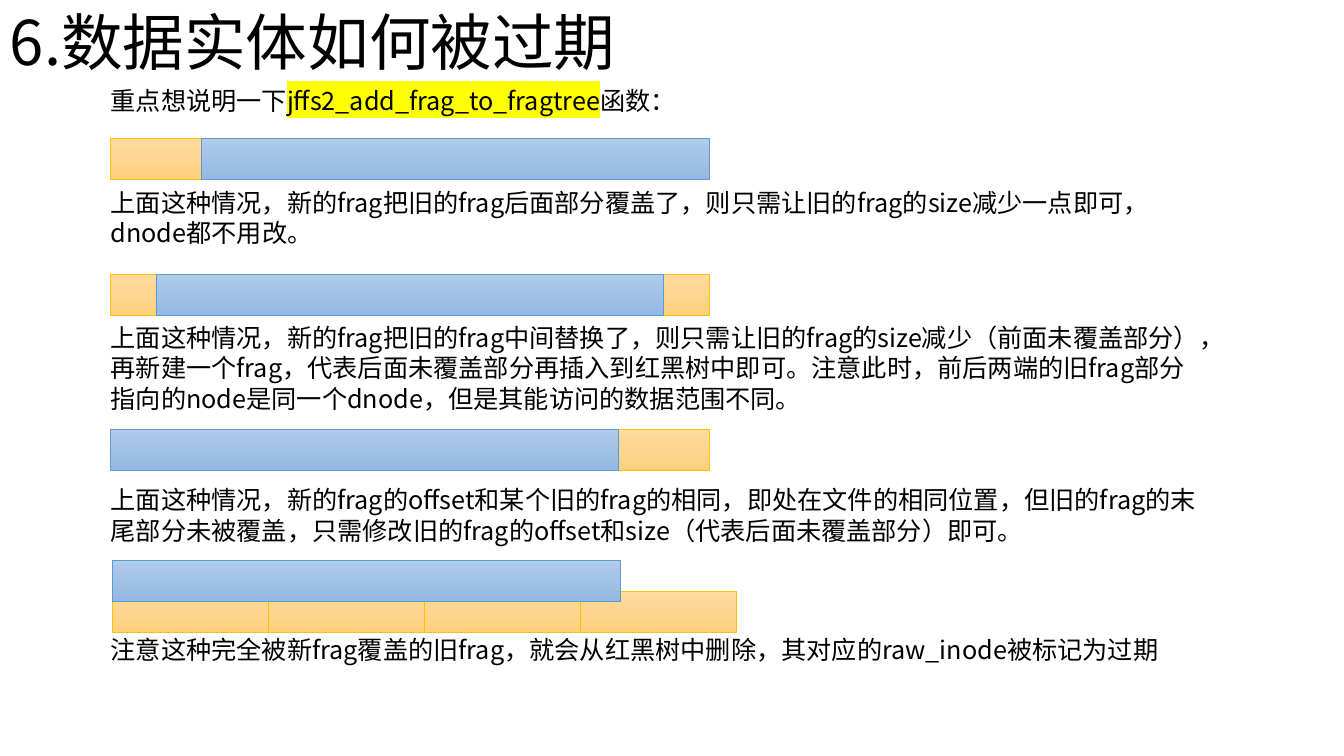
import copy

import lxml.etree
import pptx
import pptx.dml.color
import pptx.enum.shapes
import pptx.enum.text
import pptx.oxml.ns
import pptx.util

Cm = pptx.util.Cm
qn = pptx.oxml.ns.qn
ALIGN = pptx.enum.text.PP_ALIGN
ANCHOR = pptx.enum.text.MSO_ANCHOR

FONT = "Noto Sans CJK SC"
COLORS = {
    "text": "000000", "mark": "FFFF00",
    "old_line": "FFC000", "old_top": "FFDB9E", "old_mid": "FFD590", "old_end": "FFD07C",
    "new_line": "5B9BD5", "new_top": "B1CBE9", "new_mid": "A3C1E5", "new_end": "93B9E4",
}
TEXT_LEFT, TEXT_W = 2.54, 28.12
FRAG_LEFT, FRAG_H = 2.79, 1.03
OLD_W, NEW_W = 15.09, 12.8


def rgb(name):
    """Return the named colour."""
    return pptx.dml.color.RGBColor.from_string(COLORS[name])


def add_run(p, text, size, marked=False):
    """Add one run, with a highlight if marked."""
    r = p.add_run()
    r.text = text
    r.font.size = pptx.util.Pt(size)
    r.font.color.rgb = rgb("text")
    r.font.name = FONT
    rPr = r.font._element
    ea = lxml.etree.SubElement(rPr, qn("a:ea"))
    ea.set("typeface", FONT)
    if marked:
        hl = lxml.etree.Element(qn("a:highlight"))
        lxml.etree.SubElement(hl, qn("a:srgbClr")).set("val", COLORS["mark"])
        rPr.find(qn("a:solidFill")).addnext(hl)


def add_text(s, box, runs, size=18, align=ALIGN.LEFT, anchor=ANCHOR.TOP, spacing=1.0):
    """Add a one-paragraph text box; runs are (text, marked) pairs."""
    tf = s.shapes.add_textbox(*map(Cm, box)).text_frame
    tf.word_wrap = True
    tf.vertical_anchor = anchor
    p = tf.paragraphs[0]
    p.alignment = align
    p.line_spacing = spacing
    for text, marked in runs:
        add_run(p, text, size, marked)


def add_frag(s, kind, left, top, width):
    """Add one old or new fragment bar with a three-stop vertical gradient."""
    sp = s.shapes.add_shape(pptx.enum.shapes.MSO_SHAPE.RECTANGLE,
                            Cm(left), Cm(top), Cm(width), Cm(FRAG_H))
    sp.shadow.inherit = False
    sp.line.color.rgb = rgb(kind + "_line")
    sp.line.width = pptx.util.Pt(0.5)
    sp.fill.gradient()
    sp.fill.gradient_angle = 270
    first = sp._element.spPr.find(qn("a:gradFill")).find(qn("a:gsLst"))[0]
    first.addnext(copy.deepcopy(first))
    for i, (stop, part) in enumerate(zip(sp.fill.gradient_stops, ("top", "mid", "end"))):
        stop.position = i / 2
        stop.color.rgb = rgb(f"{kind}_{part}")


def add_header(s, left, top):
    """Add the title and the introductory line."""
    add_text(s, (left, top, 16.33, 2.34), [("6.数据实体如何被过期", False)],
             size=44, anchor=ANCHOR.MIDDLE, spacing=0.9)
    add_text(s, (left + TEXT_LEFT, top + 2.06, 28.58, 1.03),
             [("重点想说明一下", False), ("jffs2_add_frag_to_fragtree", True), ("函数：", False)],
             align=ALIGN.JUSTIFY)


def add_partial_case(s, top, offset, text_top, text_w, text_h, text):
    """Add an old frag partly covered by a new one, and its explanation."""
    add_frag(s, "old", FRAG_LEFT, top, OLD_W)
    add_frag(s, "new", FRAG_LEFT + offset, top, NEW_W)
    add_text(s, (TEXT_LEFT, text_top, text_w, text_h), [(text, False)])


def add_full_case(s, left, top, text):
    """Add a new frag lying over a row of four old ones, and its explanation."""
    old_w = 3.93
    for i in range(4):
        add_frag(s, "old", left + i * old_w, top + 0.79, old_w)
    add_frag(s, "new", left, top, NEW_W)
    add_text(s, (TEXT_LEFT, top + 1.73, TEXT_W, 1.03), [(text, False)])


PARTIAL_CASES = [
    (3.48, 2.29, 4.6, 28.35, 1.8,
     "上面这种情况，新的frag把旧的frag后面部分覆盖了，则只需让旧的frag的size减少一点即可，"
     "dnode都不用改。"),
    (6.91, 1.14, 8.0, TEXT_W, 2.56,
     "上面这种情况，新的frag把旧的frag中间替换了，则只需让旧的frag的size减少（前面未覆盖部分），"
     "再新建一个frag，代表后面未覆盖部分再插入到红黑树中即可。注意此时，前后两端的旧frag部分指向的"
     "node是同一个dnode，但是其能访问的数据范围不同。"),
    (10.82, 0, 12.09, TEXT_W, 1.8,
     "上面这种情况，新的frag的offset和某个旧的frag的相同，即处在文件的相同位置，但旧的frag的末尾部分"
     "未被覆盖，只需修改旧的frag的offset和size（代表后面未覆盖部分）即可。"),
]

prs = pptx.Presentation()
prs.slide_width, prs.slide_height = Cm(33.87), Cm(19.05)
s = prs.slides.add_slide(prs.slide_layouts[6])
add_header(s, 0, -0.03)
for case in PARTIAL_CASES:
    add_partial_case(s, *case)
add_full_case(s, 2.84, 14.12,
              "注意这种完全被新frag覆盖的旧frag，就会从红黑树中删除，其对应的raw_inode被标记为过期")
prs.save("out.pptx")
